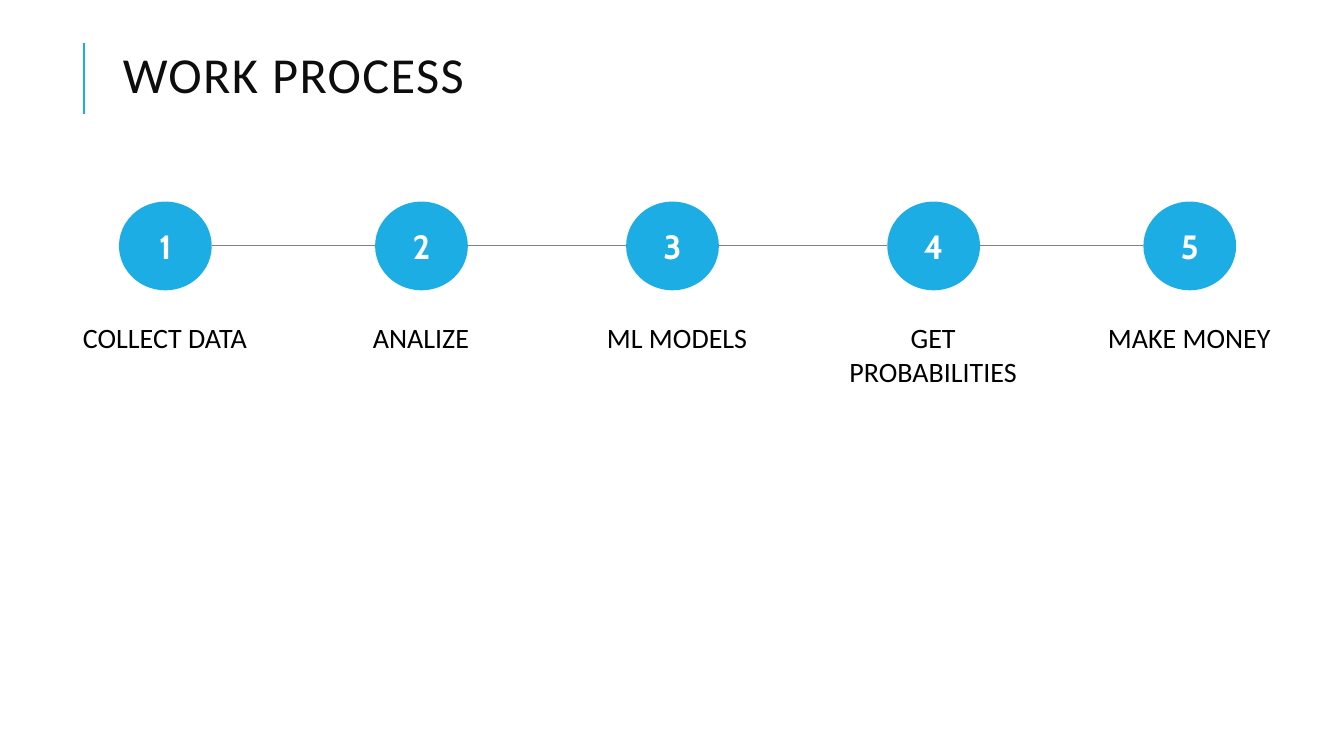
from dataclasses import dataclass
from itertools import pairwise

from lxml.etree import SubElement
from pptx import Presentation
from pptx.dml.color import RGBColor
from pptx.enum.shapes import MSO_CONNECTOR, MSO_SHAPE
from pptx.enum.text import MSO_ANCHOR, MSO_AUTO_SIZE, PP_ALIGN
from pptx.oxml.ns import qn
from pptx.slide import Slide
from pptx.text.text import Font, TextFrame
from pptx.util import Inches, Pt

BLUE = RGBColor(0x1C, 0xAD, 0xE4)
GRAY = RGBColor(0x80, 0x80, 0x80)
WHITE = RGBColor(0xFF, 0xFF, 0xFF)
BLACK = RGBColor(0x00, 0x00, 0x00)
TITLE_COLOR = RGBColor(0x0D, 0x0D, 0x0D)

CIRCLE_TOP, CIRCLE_WIDTH, CIRCLE_HEIGHT = 2, 0.92, 0.88
LINK_Y = CIRCLE_TOP + CIRCLE_HEIGHT / 2
LABEL_LEFT, LABEL_TOP, LABEL_WIDTH, LABEL_HEIGHT = 0.66, 3.13, 1.95, 0.44
LABEL_STEP = 2.54


@dataclass(frozen=True)
class Step:
    label: str
    circle_left: float


STEPS = [
    Step("COLLECT DATA", 1.18),
    Step("ANALIZE", 3.72),
    Step("ML MODELS", 6.21),
    Step("GET PROBABILITIES", 8.8),
    Step("MAKE MONEY", 11.34),
]


def add_run(frame: TextFrame, text: str, size: float, color: RGBColor, name: str = "Calibri") -> Font:
    run = frame.paragraphs[0].add_run()
    run.text = text
    run.font.name = name
    run.font.size = Pt(size)
    run.font.color.rgb = color
    return run.font


def add_line(slide: Slide, x1: float, y1: float, x2: float, y2: float, color: RGBColor, width: float) -> None:
    connector = slide.shapes.add_connector(
        MSO_CONNECTOR.STRAIGHT, Inches(x1), Inches(y1), Inches(x2), Inches(y2)
    )
    connector.line.color.rgb = color
    connector.line.width = Pt(width)
    SubElement(connector._element.spPr, qn("a:effectLst"))


def add_title(slide: Slide, text: str) -> None:
    frame = slide.shapes.add_textbox(Inches(1.12), Inches(0.43), Inches(10.63), Inches(0.7)).text_frame
    frame.word_wrap = True
    frame.vertical_anchor = MSO_ANCHOR.MIDDLE
    frame.paragraphs[0].line_spacing = 0.8
    font = add_run(frame, text, 36, TITLE_COLOR)
    font._element.set("spc", "100")


def add_circle(slide: Slide, number: int, left: float) -> None:
    shape = slide.shapes.add_shape(
        MSO_SHAPE.OVAL, Inches(left), Inches(CIRCLE_TOP), Inches(CIRCLE_WIDTH), Inches(CIRCLE_HEIGHT)
    )
    shape.shadow.inherit = False
    shape.fill.solid()
    shape.fill.fore_color.rgb = BLUE
    shape.line.fill.background()
    frame = shape.text_frame
    frame.vertical_anchor = MSO_ANCHOR.MIDDLE
    frame.paragraphs[0].alignment = PP_ALIGN.CENTER
    add_run(frame, str(number), 24, WHITE, "Cabin").bold = True


def add_label(slide: Slide, text: str, left: float) -> None:
    frame = slide.shapes.add_textbox(
        Inches(left), Inches(LABEL_TOP), Inches(LABEL_WIDTH), Inches(LABEL_HEIGHT)
    ).text_frame
    frame.word_wrap = True
    frame.auto_size = MSO_AUTO_SIZE.SHAPE_TO_FIT_TEXT
    frame.paragraphs[0].alignment = PP_ALIGN.CENTER
    add_run(frame, text, 20, BLACK)


def main() -> None:
    presentation = Presentation()
    presentation.slide_width = Inches(13.33)
    presentation.slide_height = Inches(7.5)
    slide = presentation.slides.add_slide(presentation.slide_layouts[6])

    add_line(slide, 0.83, 1.13, 0.83, 0.43, BLUE, 1.5)
    add_title(slide, "WORK PROCESS")
    for before, after in pairwise(STEPS):
        add_line(slide, before.circle_left + CIRCLE_WIDTH, LINK_Y, after.circle_left, LINK_Y, GRAY, 0.75)
    for index, step in enumerate(STEPS):
        add_circle(slide, index + 1, step.circle_left)
        add_label(slide, step.label, LABEL_LEFT + index * LABEL_STEP)

    presentation.save("out.pptx")


if __name__ == "__main__":
    main()
